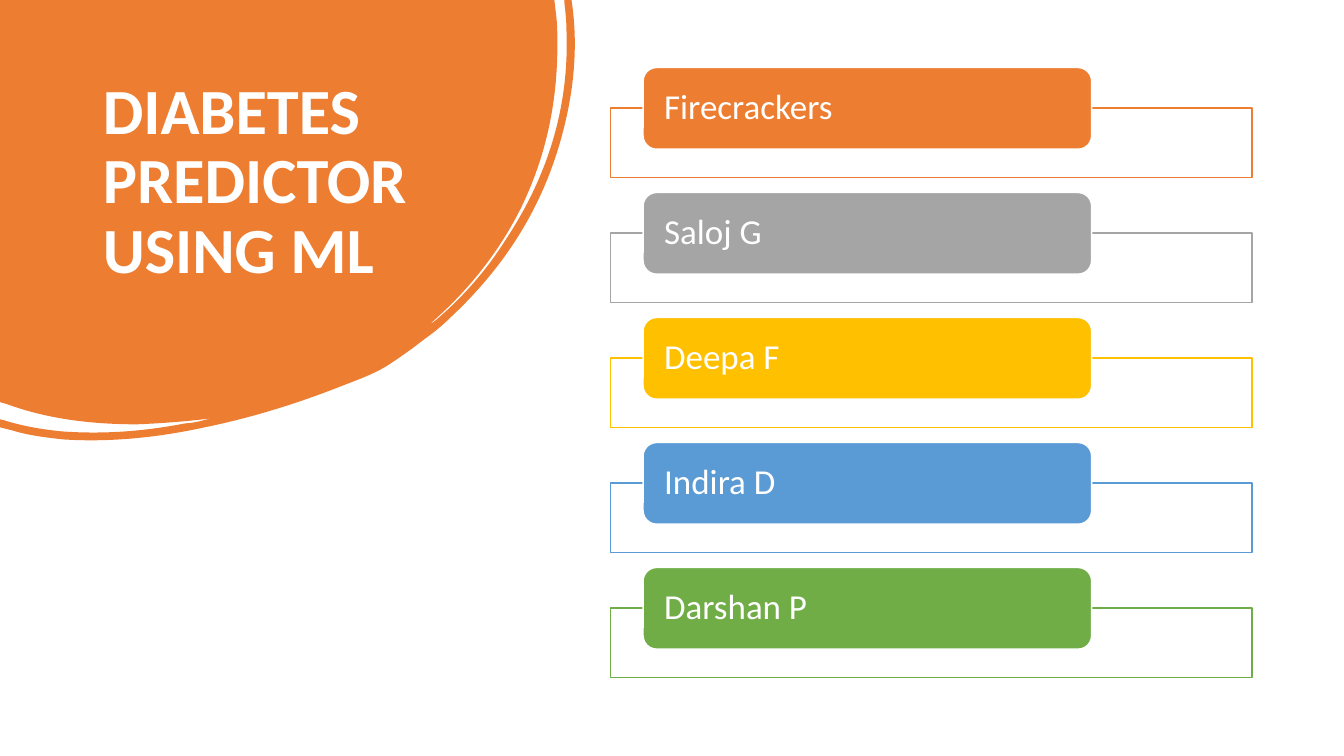
from dataclasses import dataclass

import lxml.etree
import pptx
import pptx.dml.color
import pptx.enum.shapes
import pptx.enum.text
import pptx.oxml.ns
import pptx.shapes.autoshape
import pptx.slide
import pptx.text.text
import pptx.util

PX = 9144  # EMU in one px, 100 px to the inch
SLIDE_WIDTH = pptx.util.Emu(12192000)  # 16:9, a third of a px over 1333
SLIDE_HEIGHT = 750 * PX

RGB = pptx.dml.color.RGBColor
WHITE = RGB(0xFF, 0xFF, 0xFF)
ORANGE = RGB(0xED, 0x7D, 0x31)
GREY = RGB(0xA5, 0xA5, 0xA5)
GOLD = RGB(0xFF, 0xC0, 0x00)
BLUE = RGB(0x5B, 0x9B, 0xD5)
GREEN = RGB(0x70, 0xAD, 0x47)

SHAPES = pptx.enum.shapes.MSO_SHAPE
ANCHOR = pptx.enum.text.MSO_ANCHOR
qn = pptx.oxml.ns.qn

TITLE_FONT = {"name": "Calibri", "size": pptx.util.Pt(46), "bold": True}
MEMBER_FONT = {"name": "Calibri", "size": pptx.util.Pt(25), "bold": False}
PARAGRAPH_FORMAT = {"alignment": pptx.enum.text.PP_ALIGN.LEFT, "line_spacing": 0.9}
TITLE_FRAME = {
    "vertical_anchor": ANCHOR.TOP,
    "margin_left": 10 * PX,
    "margin_right": 10 * PX,
    "margin_top": 4 * PX,
    "margin_bottom": 5 * PX,
}
MEMBER_FRAME = {
    "vertical_anchor": ANCHOR.MIDDLE,
    "margin_left": 17 * PX,
    "margin_right": 17 * PX,
    "margin_top": 0,
    "margin_bottom": 0,
}


@dataclass(frozen=True)
class Box:
    left: int
    top: int
    width: int
    height: int

    def emu(self) -> tuple[int, int, int, int]:
        return (self.left * PX, self.top * PX, self.width * PX, self.height * PX)

    def lowered(self, distance: int) -> "Box":
        return Box(self.left, self.top + distance, self.width, self.height)


@dataclass(frozen=True)
class Member:
    name: str
    color: RGB


TITLE_BOX = Box(92, 74, 352, 222)
FRAME_BOX = Box(606, 107, 636, 69)
LABEL_BOX = Box(638, 67, 445, 81)
MEMBER_PITCH = 124

MEMBERS = [
    Member("Firecrackers", ORANGE),
    Member("Saloj G", GREY),
    Member("Deepa F", GOLD),
    Member("Indira D", BLUE),
    Member("Darshan P", GREEN),
]

# Corner blob with its rim: two numbers are a line end, six a Bézier curve
BLOB_WIDTH, BLOB_HEIGHT = 571, 437
BLOB_SEGMENTS = [
    (550, 0), (552, 17),
    (553, 26, 553, 36, 553, 45), (553, 101, 542, 154, 518, 204),
    (496, 249, 465, 288, 427, 321), (429, 321, 430, 319, 432, 318),
    (459, 295, 482, 269, 501, 239), (543, 176, 565, 107, 562, 30),
    (562, 21, 561, 12, 560, 3),
    (560, 0), (567, 0), (568, 7),
    (574, 54, 568, 102, 553, 150), (533, 214, 497, 268, 448, 314),
    (439, 323, 429, 331, 419, 338), (409, 346, 399, 353, 387, 361),
    (375, 369, 360, 375, 344, 381), (299, 399, 252, 414, 203, 424),
    (157, 434, 110, 439, 63, 436), (45, 434, 28, 432, 12, 427),
    (0, 424), (0, 416), (4, 417),
    (23, 423, 42, 426, 61, 428), (103, 431, 143, 428, 184, 420),
    (189, 420, 193, 419, 198, 418), (202, 417, 206, 416, 210, 415),
    (186, 418, 161, 420, 136, 421), (92, 421, 48, 416, 7, 401),
    (0, 399),
]


def apply_format(target: object, values: dict[str, object]) -> None:
    for attribute, value in values.items():
        setattr(target, attribute, value)


def write_text(
    frame: pptx.text.text.TextFrame,
    text: str,
    font: dict[str, object],
    frame_format: dict[str, object],
) -> None:
    apply_format(frame, {
        "text": text,
        "word_wrap": True,
        "auto_size": pptx.enum.text.MSO_AUTO_SIZE.NONE,
        **frame_format,
    })
    paragraph = frame.paragraphs[0]
    apply_format(paragraph, PARAGRAPH_FORMAT)
    run_font = paragraph.runs[0].font
    apply_format(run_font, font)
    run_font.color.rgb = WHITE


def draw_blob(slide: pptx.slide.Slide) -> None:
    builder = slide.shapes.build_freeform(0, 0, scale=PX)
    builder.add_line_segments([segment[-2:] for segment in BLOB_SEGMENTS], close=True)
    blob = builder.convert_to_shape()
    blob.shadow.inherit = False
    blob.fill.solid()
    blob.fill.fore_color.rgb = ORANGE
    blob.line.fill.background()

    # Widen the frame to hold the bulge of the curves
    apply_format(blob, {"width": BLOB_WIDTH * PX, "height": BLOB_HEIGHT * PX})
    outline = next(blob.element.iter(qn("a:path")))
    outline.set("w", str(BLOB_WIDTH))
    outline.set("h", str(BLOB_HEIGHT))

    # Turn straight segments into curves
    for line, segment in zip(outline.findall(qn("a:lnTo")), BLOB_SEGMENTS):
        if len(segment) == 6:
            curve = lxml.etree.Element(qn("a:cubicBezTo"))
            for x, y in zip(segment[::2], segment[1::2]):
                lxml.etree.SubElement(curve, qn("a:pt"), x=str(x), y=str(y))
            outline.replace(line, curve)


def place_title(slide: pptx.slide.Slide) -> None:
    title = slide.shapes.title
    apply_format(title, dict(zip(("left", "top", "width", "height"), TITLE_BOX.emu())))
    write_text(title.text_frame, "DIABETES PREDICTOR USING ML", TITLE_FONT, TITLE_FRAME)
    # Bring the title in front of the blob
    title.element.getparent().append(title.element)


def draw_box(
    slide: pptx.slide.Slide, kind: SHAPES, box: Box, fill: RGB, line: RGB
) -> pptx.shapes.autoshape.Shape:
    shape = slide.shapes.add_shape(kind, *box.emu())
    shape.shadow.inherit = False
    shape.fill.solid()
    shape.fill.fore_color.rgb = fill
    shape.line.color.rgb = line
    shape.line.width = pptx.util.Pt(1)
    return shape


def draw_member(slide: pptx.slide.Slide, member: Member, offset: int) -> None:
    frame = draw_box(slide, SHAPES.RECTANGLE, FRAME_BOX.lowered(offset), WHITE, member.color)
    fill_color = frame.element.spPr.find(qn("a:solidFill")).find(qn("a:srgbClr"))
    lxml.etree.SubElement(fill_color, qn("a:alpha"), val="90000")

    label = draw_box(
        slide, SHAPES.ROUNDED_RECTANGLE, LABEL_BOX.lowered(offset), member.color, WHITE
    )
    write_text(label.text_frame, member.name, MEMBER_FONT, MEMBER_FRAME)


def main() -> None:
    presentation = pptx.Presentation()
    apply_format(presentation, {"slide_width": SLIDE_WIDTH, "slide_height": SLIDE_HEIGHT})
    slide = presentation.slides.add_slide(presentation.slide_layouts.get_by_name("Title Only"))

    # Title on the corner blob
    draw_blob(slide)
    place_title(slide)

    # Team list
    for index, member in enumerate(MEMBERS):
        draw_member(slide, member, index * MEMBER_PITCH)

    presentation.save("out.pptx")


if __name__ == "__main__":
    main()
